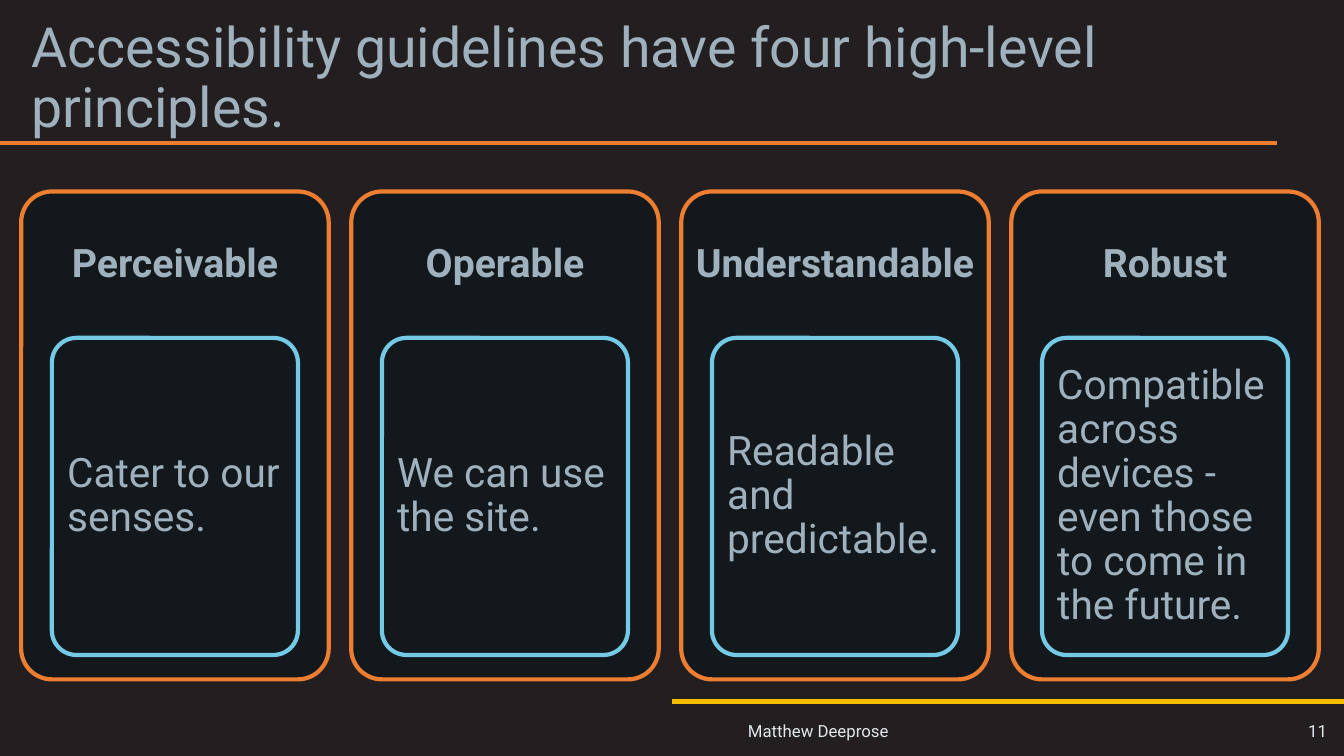
"""Build a slide showing the four principles of accessibility guidelines."""
from pptx import Presentation
from pptx.dml.color import RGBColor
from pptx.enum.shapes import MSO_CONNECTOR, MSO_SHAPE
from pptx.enum.text import MSO_ANCHOR, MSO_AUTO_SIZE, PP_ALIGN
from pptx.oxml.ns import qn
from pptx.util import Inches, Pt

BACKGROUND = RGBColor(0x23, 0x1F, 0x20)
PANEL = RGBColor(0x12, 0x18, 0x1C)
ORANGE = RGBColor(0xED, 0x7D, 0x31)
YELLOW = RGBColor(0xFC, 0xBC, 0x00)
SKY = RGBColor(0x74, 0xC9, 0xE5)
MIST = RGBColor(0x9F, 0xB1, 0xBD)
PALE = RGBColor(0xE1, 0xE8, 0xEC)

WIDTH, HEIGHT = 13.33, 7.5
MARGIN, CONTENT_WIDTH = 0.21, 12.87
PANEL_TOP, PANEL_WIDTH, PANEL_HEIGHT = 1.9, 3.05, 4.84
HEADING_HEIGHT = 0.3 * PANEL_HEIGHT
CARD_WIDTH, CARD_HEIGHT = 0.8 * PANEL_WIDTH, 0.65 * PANEL_HEIGHT

PRINCIPLES = [
    ("Perceivable", "Cater to our senses."),
    ("Operable", "We can use the site."),
    ("Understandable", "Readable and predictable."),
    ("Robust", "Compatible across devices - even those to come in the future."),
]


def write(holder, text, size, color=MIST, bold=False, align=PP_ALIGN.LEFT,
          spacing=0.9, insets=(0.1, 0.05)):
    """Put one formatted paragraph in a shape, vertically centred."""
    frame = holder.text_frame
    frame.word_wrap = True
    frame.auto_size = MSO_AUTO_SIZE.NONE
    frame.vertical_anchor = MSO_ANCHOR.MIDDLE
    frame.margin_left = frame.margin_right = Inches(insets[0])
    frame.margin_top = frame.margin_bottom = Inches(insets[1])
    paragraph = frame.paragraphs[0]
    paragraph.alignment = align
    paragraph.line_spacing = spacing
    run = paragraph.add_run()
    run.text = text
    run.font.name = "Roboto"
    run.font.size = Pt(size)
    run.font.bold = bold
    run.font.color.rgb = color


def rounded_box(left, top, width, height, outline):
    """Add a dark rounded rectangle with a coloured outline."""
    box = slide.shapes.add_shape(MSO_SHAPE.ROUNDED_RECTANGLE, Inches(left),
                                 Inches(top), Inches(width), Inches(height))
    box.adjustments[0] = 0.1
    box.shadow.inherit = False
    box.fill.solid()
    box.fill.fore_color.rgb = PANEL
    box.line.color.rgb = outline
    box.line.width = Pt(3)
    return box


deck = Presentation()
deck.slide_width, deck.slide_height = Inches(WIDTH), Inches(HEIGHT)
slide = deck.slides.add_slide(deck.slide_layouts[5])
slide.background.fill.solid()
slide.background.fill.fore_color.rgb = BACKGROUND

for start, end, y, color in [(0, 0.95 * WIDTH, 1.42, ORANGE),
                             (WIDTH / 2, WIDTH, 6.96, YELLOW)]:
    rule = slide.shapes.add_connector(MSO_CONNECTOR.STRAIGHT, Inches(start),
                                      Inches(y), Inches(end), Inches(y))
    rule.line.color.rgb = color
    rule.line.width = Pt(3)
    rule._element.spPr.append(rule._element.makeelement(qn("a:effectLst"), {}))

title = slide.shapes.title
title.left, title.top = Inches(MARGIN), Inches(0.16)
title.width, title.height = Inches(CONTENT_WIDTH), Inches(1.26)
write(title, "Accessibility guidelines have four high-level principles.", 39.6)

pitch = (CONTENT_WIDTH - PANEL_WIDTH) / (len(PRINCIPLES) - 1)
for column, (principle, meaning) in enumerate(PRINCIPLES):
    left = MARGIN + column * pitch
    rounded_box(left, PANEL_TOP, PANEL_WIDTH, PANEL_HEIGHT, ORANGE)
    heading = slide.shapes.add_textbox(Inches(left), Inches(PANEL_TOP),
                                       Inches(PANEL_WIDTH), Inches(HEADING_HEIGHT))
    write(heading, principle, 28, bold=True, align=PP_ALIGN.CENTER,
          insets=(0.12, 0.12))
    card = rounded_box(left + (PANEL_WIDTH - CARD_WIDTH) / 2,
                       PANEL_TOP + HEADING_HEIGHT, CARD_WIDTH, CARD_HEIGHT, SKY)
    write(card, meaning, 29, insets=(0.08, 0.06))

for text, left, width, align in [("Matthew Deeprose", 7.32, 4.7, PP_ALIGN.LEFT),
                                 ("11", 12.27, 0.99, PP_ALIGN.RIGHT)]:
    footer = slide.shapes.add_textbox(Inches(left), Inches(7.04),
                                      Inches(width), Inches(0.41))
    write(footer, text, 12, color=PALE, align=align, spacing=1.0)

deck.save("out.pptx")
